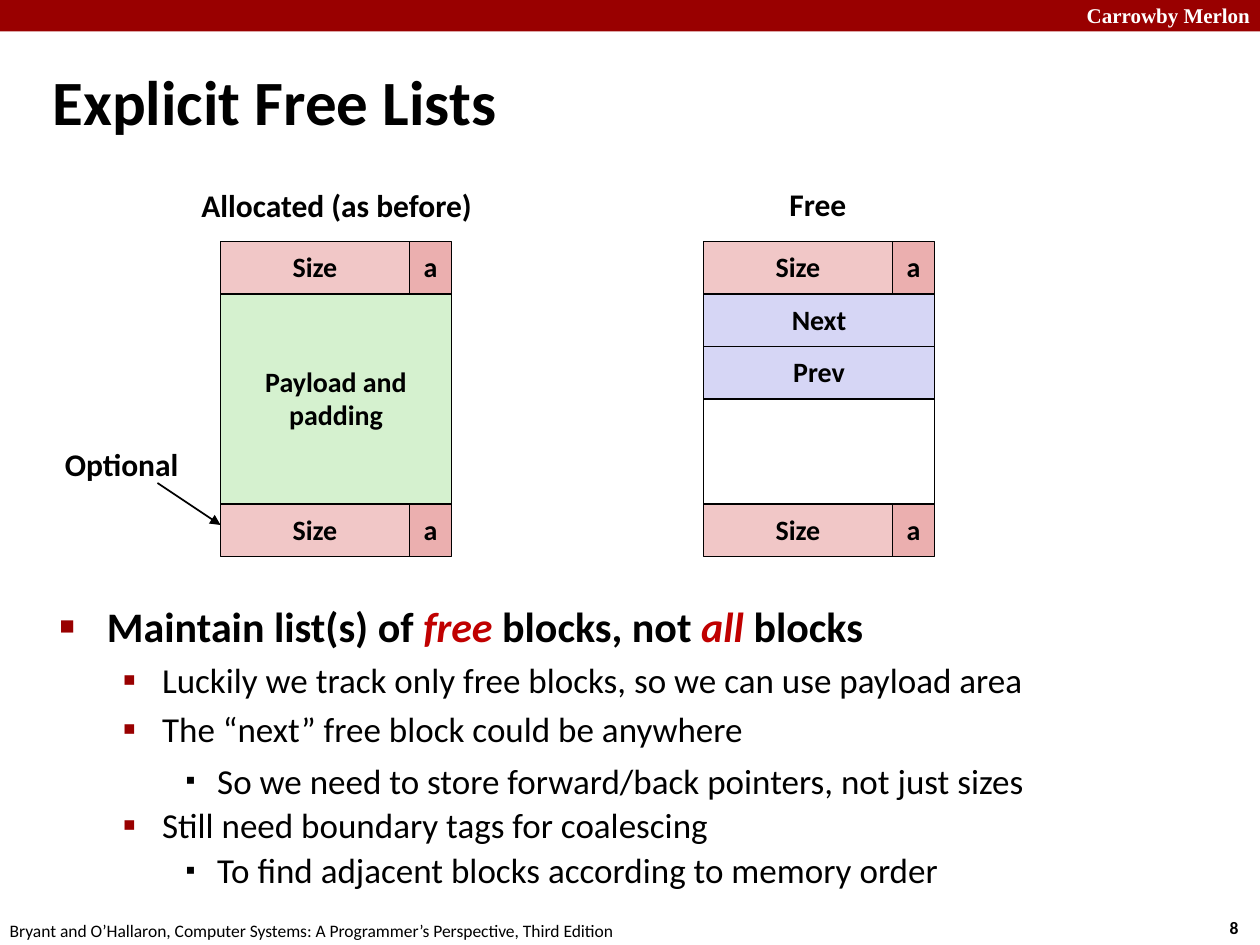
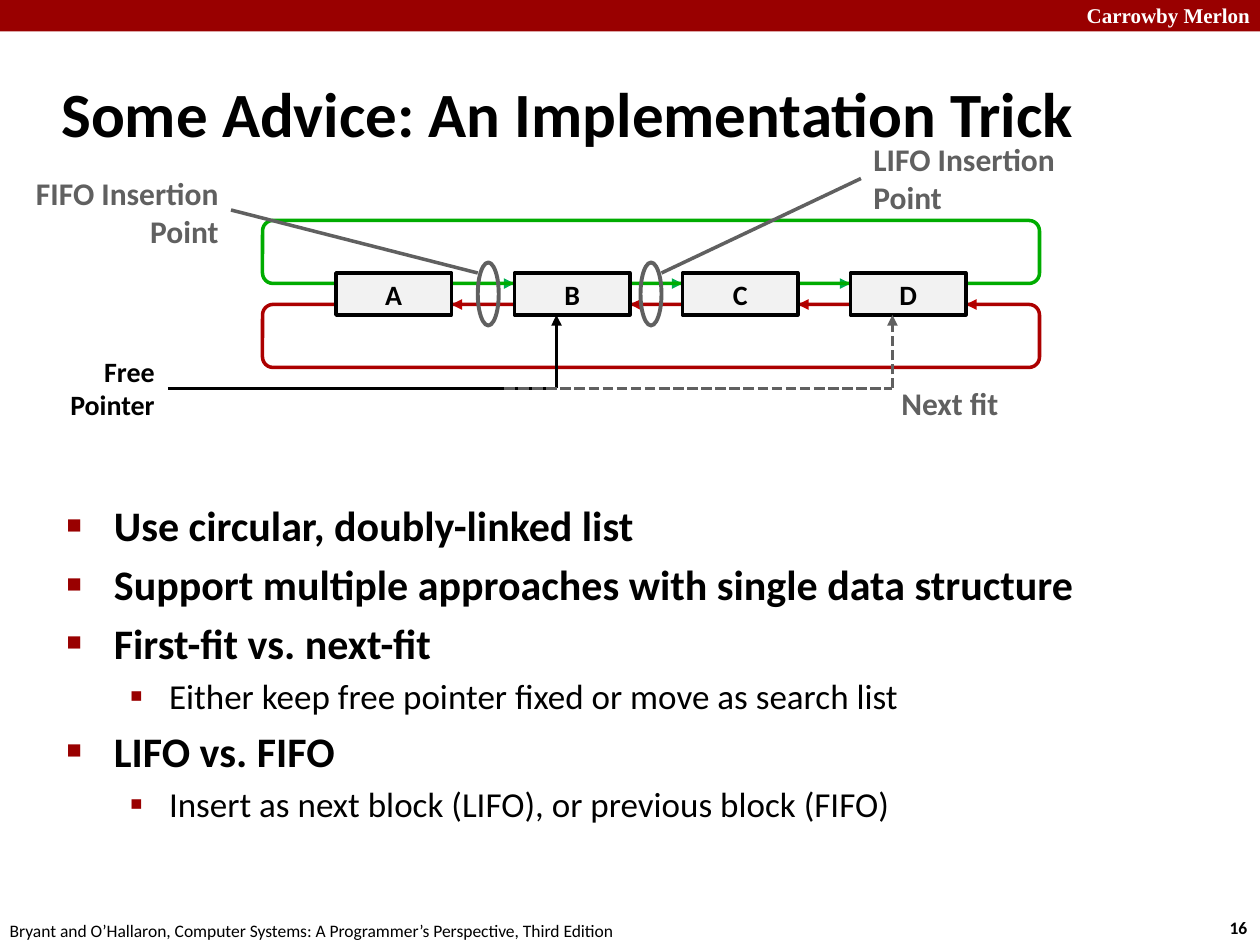
from dataclasses import dataclass
from itertools import pairwise

from pptx import Presentation
from pptx.dml.color import RGBColor
from pptx.enum.dml import MSO_LINE
from pptx.enum.shapes import MSO_CONNECTOR, MSO_SHAPE
from pptx.enum.text import MSO_ANCHOR, PP_ALIGN
from pptx.oxml.ns import qn
from pptx.shapes.autoshape import Shape
from pptx.slide import Slide
from pptx.util import Pt
from lxml.etree import SubElement


# Shared look
@dataclass(frozen=True)
class Theme:
    font: str = "Calibri"
    serif_font: str = "Times New Roman"
    black: str = "000000"
    white: str = "FFFFFF"
    crimson: str = "990000"
    red: str = "C00000"
    green: str = "00B050"
    loop_green: str = "00AC00"
    loop_red: str = "AC0000"
    grey: str = "606060"
    node_fill: str = "F2F2F2"
    size_fill: str = "F1C7C7"
    flag_fill: str = "EBAFAF"
    payload_fill: str = "D5F1CF"
    link_fill: str = "D6D6F5"
    title_size: float = 36
    head_size: float = 24
    detail_size: float = 20
    label_size: float = 18
    cell_size: float = 16
    band_size: float = 12
    footer_size: float = 10


THEME = Theme()


@dataclass(frozen=True)
class Area:
    left: float
    top: float
    width: float
    height: float

    def lengths(self) -> tuple[Pt, Pt, Pt, Pt]:
        return Pt(self.left), Pt(self.top), Pt(self.width), Pt(self.height)


@dataclass(frozen=True)
class Label:
    text: str
    area: Area
    size: float = THEME.label_size
    color: str = THEME.black
    bold: bool = True
    font: str = THEME.font
    align: PP_ALIGN = PP_ALIGN.LEFT
    wrap: bool = False


@dataclass(frozen=True)
class Cell:
    text: str
    area: Area
    fill: str | None
    line: str = THEME.black
    weight: float = 1
    spacing: float = 0.98
    form: MSO_SHAPE = MSO_SHAPE.RECTANGLE


@dataclass(frozen=True)
class Line:
    start: tuple[float, float]
    end: tuple[float, float]
    color: str = THEME.black
    weight: float = 2
    arrow: bool = False
    dashed: bool = False


@dataclass(frozen=True)
class Level:
    bullet: str
    bullet_color: str
    bullet_percent: int
    margin: float
    indent: float
    size: float
    bold: bool


@dataclass(frozen=True)
class Bullet:
    level: int
    text: str  # words between asterisks are emphasised
    spacing: float | None = None


LEVELS = (
    Level("■", THEME.crimson, 60, 27, -27, THEME.head_size, True),
    Level("▪", THEME.crimson, 110, 58.5, -22.5, THEME.detail_size, False),
    Level("▪", THEME.black, 80, 90, -18, THEME.detail_size, False),
)


# Drawing functions
def style_span(span, size: float, color: str, bold: bool, font: str = THEME.font) -> None:
    span.font.size = Pt(size)
    span.font.name = font
    span.font.bold = bold
    span.font.color.rgb = RGBColor.from_string(color)


def draw_label(page: Slide, label: Label) -> Shape:
    box = page.shapes.add_textbox(*label.area.lengths())
    box.text_frame.word_wrap = label.wrap
    box.text_frame.text = label.text
    for para in box.text_frame.paragraphs:
        para.alignment = label.align
        for span in para.runs:
            style_span(span, label.size, label.color, label.bold, label.font)
    return box


def draw_cell(page: Slide, cell: Cell) -> None:
    box = page.shapes.add_shape(cell.form, *cell.area.lengths())
    box.shadow.inherit = False
    if cell.fill:
        box.fill.solid()
        box.fill.fore_color.rgb = RGBColor.from_string(cell.fill)
    else:
        box.fill.background()
    box.line.color.rgb = RGBColor.from_string(cell.line)
    box.line.width = Pt(cell.weight)
    if not cell.text:
        return
    frame = box.text_frame
    frame.word_wrap = False
    frame.vertical_anchor = MSO_ANCHOR.MIDDLE
    frame.text = cell.text
    for para in frame.paragraphs:
        para.alignment = PP_ALIGN.CENTER
        para.line_spacing = cell.spacing
        for span in para.runs:
            style_span(span, THEME.cell_size, THEME.black, True)


def draw_line(page: Slide, line: Line) -> None:
    ends = [Pt(value) for value in (*line.start, *line.end)]
    connector = page.shapes.add_connector(MSO_CONNECTOR.STRAIGHT, *ends)
    connector.line.color.rgb = RGBColor.from_string(line.color)
    connector.line.width = Pt(line.weight)
    if line.dashed:
        connector.line.dash_style = MSO_LINE.SQUARE_DOT
    properties = connector._element.spPr
    if line.arrow:
        SubElement(properties.find(qn("a:ln")), qn("a:tailEnd"), type="triangle")
    SubElement(properties, qn("a:effectLst"))


def format_bullet(para, level: Level) -> None:
    properties = para._p.get_or_add_pPr()
    properties.set("marL", str(Pt(level.margin)))
    properties.set("indent", str(Pt(level.indent)))
    before = SubElement(properties, qn("a:spcBef"))
    SubElement(before, qn("a:spcPct"), val="20000")
    color = SubElement(properties, qn("a:buClr"))
    SubElement(color, qn("a:srgbClr"), val=level.bullet_color)
    SubElement(properties, qn("a:buSzPct"), val=str(level.bullet_percent * 1000))
    SubElement(properties, qn("a:buFont"), typeface=THEME.serif_font)
    SubElement(properties, qn("a:buChar"), char=level.bullet)


def draw_bullets(page: Slide, area: Area, bullets: list[Bullet]) -> None:
    frame = page.shapes.add_textbox(*area.lengths()).text_frame
    frame.word_wrap = True
    for index, bullet in enumerate(bullets):
        para = frame.add_paragraph() if index else frame.paragraphs[0]
        level = LEVELS[bullet.level]
        if bullet.spacing:
            para.line_spacing = bullet.spacing
        format_bullet(para, level)
        for position, words in enumerate(bullet.text.split("*")):
            emphasised = position % 2 == 1
            span = para.add_run()
            span.text = words
            style_span(span, level.size, THEME.red if emphasised else THEME.black, level.bold)
            span.font.italic = emphasised


def add_page(deck, title: str, title_area: Area, number: int, spacing: float = 1.0) -> Slide:
    """Blank page with the band, footer, page number and title."""
    page = deck.slides.add_slide(deck.slide_layouts[6])
    band = page.shapes.add_shape(MSO_SHAPE.RECTANGLE, *Area(0, 0, 720, 18).lengths())
    band.shadow.inherit = False
    band.fill.solid()
    band.fill.fore_color.rgb = RGBColor.from_string(THEME.crimson)
    band.line.fill.background()
    for label in (
        Label("Carrowby Merlon", Area(580, -2, 141.5, 22), THEME.band_size, THEME.white,
              font=THEME.serif_font, align=PP_ALIGN.RIGHT, wrap=True),
        Label(str(number), Area(695.5, 520.5, 27, 19.5), THEME.footer_size),
        Label("Bryant and O’Hallaron, Computer Systems: A Programmer’s Perspective, Third Edition",
              Area(-1.5, 522, 366, 19.5), THEME.footer_size, bold=False),
    ):
        draw_label(page, label)
    heading = draw_label(page, Label(title, title_area, THEME.title_size, wrap=True))
    heading.text_frame.vertical_anchor = MSO_ANCHOR.MIDDLE
    heading.text_frame.paragraphs[0].line_spacing = spacing
    return page


# Slide: memory block layouts
ROW = 30
BLOCK_TOP = 138
SIZE_WIDTH, FLAG_WIDTH = 108, 24


def draw_block(page: Slide, left: float, fields: list[tuple[str, int, str]]) -> None:
    """Stack the fields, each some rows high, between a header and a footer tag."""
    top = BLOCK_TOP + ROW
    for text, rows, fill in fields:
        draw_cell(page, Cell(text, Area(left, top, SIZE_WIDTH + FLAG_WIDTH, rows * ROW), fill))
        top += rows * ROW
    for tag_top in (BLOCK_TOP, top):
        draw_cell(page, Cell("Size", Area(left, tag_top, SIZE_WIDTH, ROW), THEME.size_fill))
        draw_cell(page, Cell("a", Area(left + SIZE_WIDTH, tag_top, FLAG_WIDTH, ROW),
                             THEME.flag_fill))


def build_free_lists(deck) -> None:
    page = add_page(deck, "Explicit Free Lists", Area(23, 37.5, 478, 45.5), 8, 0.87)
    draw_bullets(page, Area(27, 344, 654.5, 145.5), [
        Bullet(0, "Maintain list(s) of *free* blocks, not *all* blocks", 0.85),
        Bullet(1, "Luckily we track only free blocks, so we can use payload area"),
        Bullet(1, "The “next” free block could be anywhere"),
        Bullet(2, "So we need to store forward/back pointers, not just sizes", 1.07),
        Bullet(1, "Still need boundary tags for coalescing", 0.9),
        Bullet(2, "To find adjacent blocks according to memory order", 0.9),
    ])
    draw_block(page, 126, [("Payload and\npadding", 4, THEME.payload_fill)])
    draw_block(page, 402, [("Next", 1, THEME.link_fill), ("Prev", 1, THEME.link_fill),
                           ("", 2, THEME.white)])
    draw_label(page, Label("Allocated (as before)", Area(108, 103, 171, 29)))
    draw_label(page, Label("Free", Area(444, 102, 47.5, 29)))
    draw_line(page, Line((90, 276), (126, 300), weight=1, arrow=True))
    draw_label(page, Label("Optional", Area(30, 250.5, 80, 29)))


# Slide: circular doubly-linked list
NODES = {"A": 192, "B": 294, "C": 390, "D": 486}
NODE_TOP, NODE_WIDTH, NODE_HEIGHT = 156, 66, 24
NEXT_Y, PREVIOUS_Y, POINTER_Y = 162, 174, 222


def draw_linked_list(page: Slide) -> None:
    for left, right in pairwise(NODES.values()):
        edge = left + NODE_WIDTH
        draw_line(page, Line((edge, NEXT_Y), (right, NEXT_Y), THEME.green, arrow=True))
        draw_line(page, Line((right, PREVIOUS_Y), (edge, PREVIOUS_Y), THEME.red, arrow=True))
    last_edge = NODES["D"] + NODE_WIDTH
    draw_line(page, Line((last_edge + 30, PREVIOUS_Y), (last_edge, PREVIOUS_Y), THEME.red,
                         arrow=True))
    for top, color in ((NEXT_Y - 36, THEME.loop_green), (PREVIOUS_Y, THEME.loop_red)):
        draw_cell(page, Cell("", Area(150, top, 444, 36), None, color, 2,
                             form=MSO_SHAPE.ROUNDED_RECTANGLE))
    for name, left in NODES.items():
        draw_cell(page, Cell(name, Area(left, NODE_TOP, NODE_WIDTH, NODE_HEIGHT),
                             THEME.node_fill, weight=2, spacing=1.0))


def draw_pointer(page: Slide, start: float, target: float, color: str, dashed: bool) -> None:
    """Horizontal run, then an arrow up to the node."""
    corner = (target, POINTER_Y)
    draw_line(page, Line(corner, (target, NODE_TOP + NODE_HEIGHT), color, arrow=True,
                         dashed=dashed))
    draw_line(page, Line((start, POINTER_Y), corner, color, dashed=dashed))


def draw_insertion(page: Slide, ring_left: float, line: Line, label: Label) -> None:
    draw_cell(page, Cell("", Area(ring_left, 150, 12, 36), None, THEME.grey, 2.25,
                         form=MSO_SHAPE.OVAL))
    draw_line(page, line)
    draw_label(page, label)


def build_implementation_trick(deck) -> None:
    page = add_page(deck, "Some Advice: An Implementation Trick", Area(28, 34, 597.5, 60), 16)
    draw_bullets(page, Area(31, 282, 622, 217), [
        Bullet(0, "Use circular, doubly-linked list"),
        Bullet(0, "Support multiple approaches with single data structure"),
        Bullet(0, "First-fit vs. next-fit"),
        Bullet(1, "Either keep free pointer fixed or move as search list"),
        Bullet(0, "LIFO vs. FIFO"),
        Bullet(1, "Insert as next block (LIFO), or previous block (FIFO)"),
    ])
    draw_linked_list(page)
    draw_pointer(page, 96, 318, THEME.black, False)
    draw_label(page, Label("Free\nPointer", Area(31.5, 199, 64, 46), THEME.cell_size,
                           align=PP_ALIGN.RIGHT))
    draw_insertion(page, 273, Line((132, 120), (273, 156), THEME.grey),
                   Label("FIFO Insertion\nPoint", Area(6, 96, 126, 51), color=THEME.grey,
                         align=PP_ALIGN.RIGHT, wrap=True))
    draw_insertion(page, 366, Line((492, 102), (378, 156), THEME.grey),
                   Label("LIFO Insertion\nPoint", Area(492, 76.5, 126, 51), color=THEME.grey,
                         wrap=True))
    draw_pointer(page, 288, 510, THEME.grey, True)
    draw_label(page, Label("Next fit", Area(508, 216, 71, 29), color=THEME.grey))


def main() -> None:
    deck = Presentation()
    deck.slide_width, deck.slide_height = Pt(720), Pt(540)
    build_free_lists(deck)
    build_implementation_trick(deck)
    deck.save("out.pptx")


if __name__ == "__main__":
    main()
